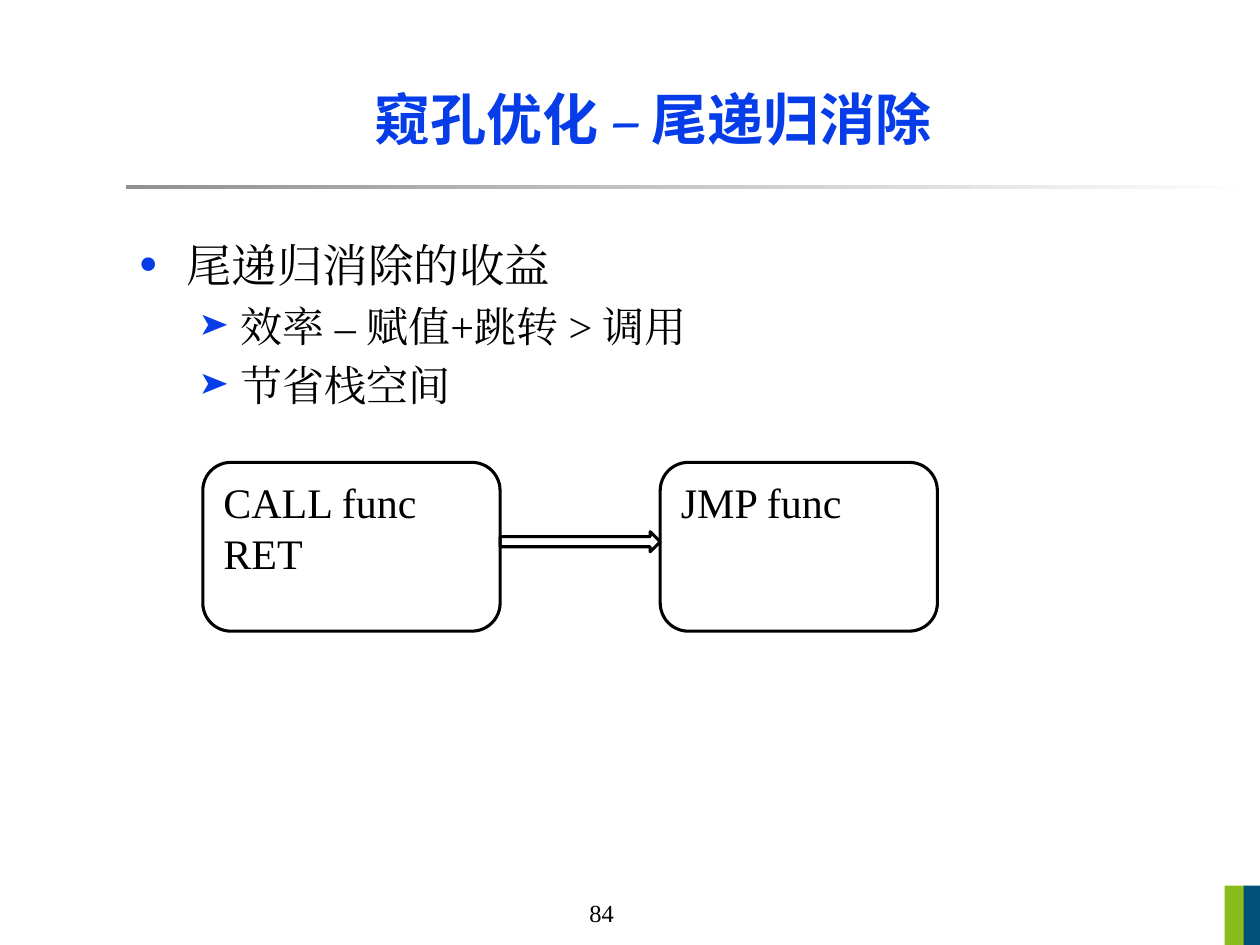
from lxml.etree import SubElement
from pptx import Presentation
from pptx.dml.color import RGBColor
from pptx.enum.shapes import MSO_SHAPE
from pptx.enum.text import MSO_ANCHOR, PP_ALIGN
from pptx.oxml.ns import qn
from pptx.util import Inches, Pt

BLUE = RGBColor(0x06, 0x3D, 0xE8)
BLACK = RGBColor(0, 0, 0)
WHITE = RGBColor(0xFF, 0xFF, 0xFF)
GRAY = RGBColor(0x91, 0x91, 0x91)
GREEN = RGBColor(0x8A, 0xBC, 0x1D)
NAVY = RGBColor(0x00, 0x51, 0x7A)
SERIF = "Times New Roman"
HEAD = "Vollkorn"


class Deck:
    """Style and current slide; places are percent of the slide's size."""

    def __init__(self):
        self.prs = Presentation()
        self.prs.slide_width = Inches(10)
        self.prs.slide_height = Inches(7.5)
        self.slide = self.prs.slides.add_slide(self.prs.slide_layouts[6])

    def place(self, left, top, width, height):
        wide, high = self.prs.slide_width, self.prs.slide_height
        return [round(share * side / 100) for share, side in
                zip((left, top, width, height), (wide, high, wide, high))]

    def style(self, para, size, color=BLACK, font=SERIF, bold=False):
        for run in para.runs:
            run.font.size = Pt(size)
            run.font.name = font
            run.font.bold = bold
            run.font.color.rgb = color
            east = SubElement(run.font._element, qn("a:ea"))
            east.set("typeface", font)

    def text(self, area, words, size, wrap=True, **look):
        box = self.slide.shapes.add_textbox(*self.place(*area))
        frame = box.text_frame
        frame.word_wrap = wrap
        frame.text = words
        for para in frame.paragraphs:
            self.style(para, size, **look)
        return frame

    def bullet(self, para, mark, size, indent, hang):
        props = para._p.get_or_add_pPr()
        props.set("marL", str(Inches(indent)))
        props.set("indent", str(-Inches(hang)))
        color = SubElement(props, qn("a:buClr"))
        SubElement(color, qn("a:srgbClr")).set("val", str(BLUE))
        SubElement(props, qn("a:buSzPct")).set("val", str(size * 1000))
        SubElement(props, qn("a:buFont")).set("typeface", SERIF)
        SubElement(props, qn("a:buChar")).set("char", mark)

    def shape(self, kind, area, fill=None, line=None):
        item = self.slide.shapes.add_shape(kind, *self.place(*area))
        item.shadow.inherit = False
        if fill is None:
            item.fill.background()
        else:
            item.fill.solid()
            item.fill.fore_color.rgb = fill
        if line is None:
            item.line.fill.background()
        else:
            item.line.color.rgb = line
            item.line.width = Pt(1.75)
        return item

    def fade(self, area, first, last):
        item = self.shape(MSO_SHAPE.RECTANGLE, area)
        item.fill.gradient()
        item.fill.gradient_angle = 0
        for stop, color in zip(item.fill.gradient_stops, (first, last)):
            stop.color.rgb = color

    def code(self, area, words):
        item = self.shape(MSO_SHAPE.ROUNDED_RECTANGLE, area, line=BLACK)
        frame = item.text_frame
        frame.vertical_anchor = MSO_ANCHOR.TOP
        frame.text = words
        for para in frame.paragraphs:
            para.alignment = PP_ALIGN.LEFT
            self.style(para, 24)


def main():
    deck = Deck()

    # Page number, rule and corner bars
    deck.text((45.8, 94.4, 4.3, 4.4), "84", 14, wrap=False)
    deck.fade((10, 19.6, 90, 0.4), GRAY, WHITE)
    for left, color in ((97.2, GREEN), (98.7, NAVY)):
        deck.shape(MSO_SHAPE.RECTANGLE, (left, 93.73, 1.6, 6.27), color)

    # Title
    title = deck.text((10.6, 5.87, 82.5, 13.33), "窥孔优化 – 尾递归消除", 32,
                      color=BLUE, font=HEAD, bold=True)
    title.vertical_anchor = MSO_ANCHOR.MIDDLE
    title.paragraphs[0].alignment = PP_ALIGN.CENTER

    # Benefits
    points = ("尾递归消除的收益", "效率 – 赋值+跳转 > 调用", "节省栈空间")
    body = deck.text((10, 24.4, 82.5, 65.6), "\n".join(points), 24)
    top, *subs = body.paragraphs
    deck.bullet(top, "•", 125, 0.38, 0.38)
    top.runs[0].font.size = Pt(26)
    for para in subs:
        para.level = 1
        para.space_before = Pt(5)
        deck.bullet(para, "➤", 70, 0.81, 0.31)

    # Call and return become one jump
    row, high = 48.93, 17.87
    left, wide, right = 16.1, 23.6, 52.4
    deck.code((left, row, wide, high), "CALL func\nRET")
    deck.code((right, row, 22, high), "JMP func")
    edge = left + wide
    deck.shape(MSO_SHAPE.RIGHT_ARROW, (edge, 56.27, right - edge, 2.13),
               line=BLACK)

    deck.prs.save("out.pptx")


if __name__ == "__main__":
    main()
